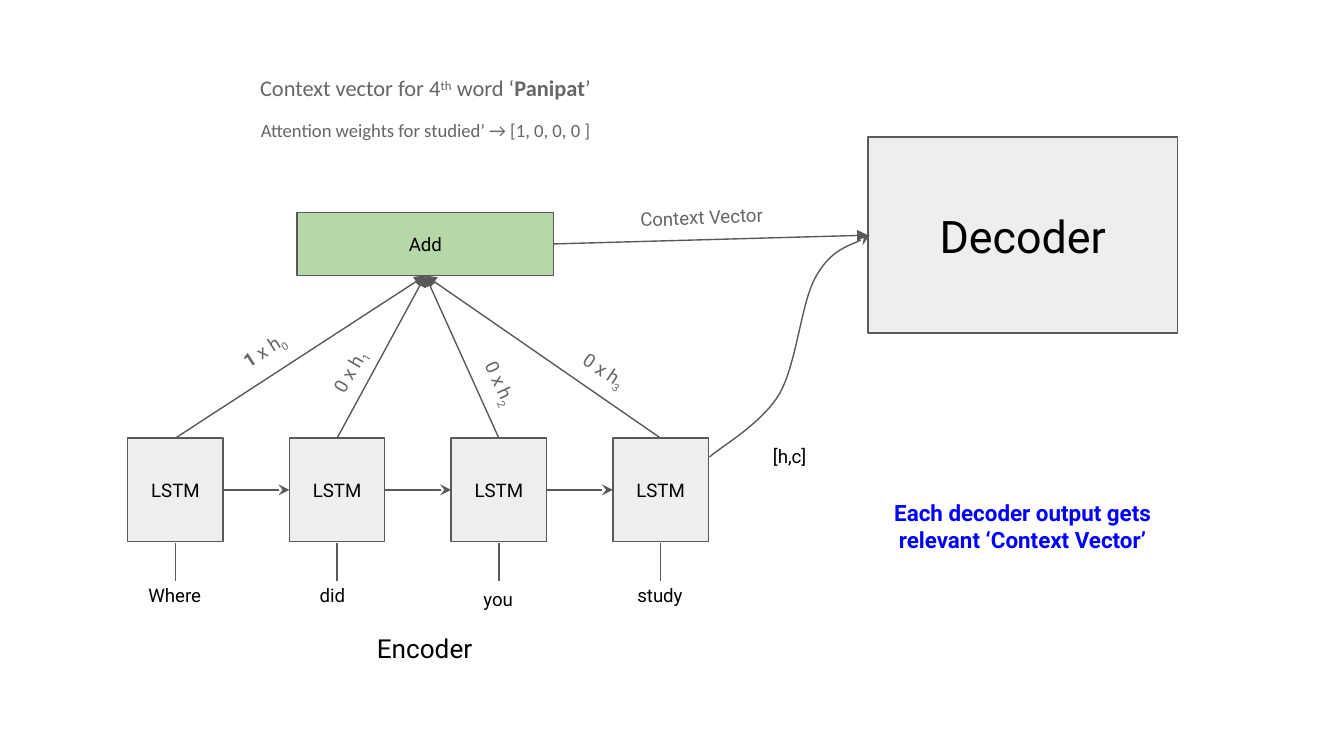
from collections import namedtuple

from lxml import etree
from pptx import Presentation
from pptx import util as u
from pptx.dml.color import RGBColor
from pptx.enum import shapes, text
from pptx.oxml import ns

COLS, ROWS = 100, 56.25
WIDE, HIGH = u.Inches(10), u.Inches(5.625)
INK, GREY, LINE = "000000", "666666", "595959"
PALE, GREEN, BLUE = "EEEEEE", "B6D7A8", "0000FF"
WORDS = ["Where", "did", "you", "study"]

Run = namedtuple("Run", "text bold base", defaults=(False, 0))


class Box(namedtuple("Box", "x y w h")):
    """A rectangle counted in columns and rows of the slide grid."""

    def inner(self, x, y, w, h):
        """Return a box offset from this one's top left corner."""
        return Box(self.x + x, self.y + y, w, h)

    def emu(self):
        """Return left, top, width and height as lengths."""
        return (*point(self.x, self.y), *point(self.w, self.h))


def point(x, y):
    """Turn a grid position into lengths."""
    return int(x * WIDE / COLS), int(y * HIGH / ROWS)


def color(code):
    """Turn a hex string into a colour."""
    return RGBColor.from_string(code)


def write(shape, runs, size, ink=INK, font="Roboto"):
    """Fill a shape with one centred paragraph."""
    frame = shape.text_frame
    frame.auto_size = text.MSO_AUTO_SIZE.NONE
    frame.word_wrap = True
    frame.vertical_anchor = text.MSO_ANCHOR.MIDDLE
    frame.margin_left = frame.margin_right = u.Inches(0.1)
    frame.margin_top = frame.margin_bottom = u.Inches(0.1)
    para = frame.paragraphs[0]
    para.alignment = text.PP_ALIGN.CENTER
    for item in runs:
        run = para.add_run()
        run.text = item.text
        run.font.name, run.font.size = font, u.Pt(size)
        run.font.bold = item.bold
        run.font.color.rgb = color(ink)
        if item.base:
            run._r.get_or_add_rPr().set("baseline", str(item.base * 1000))


def label(slide, box, runs, size=10, ink=INK, font="Roboto", turn=0):
    """Add a text box, turned by some degrees."""
    shape = slide.shapes.add_textbox(*box.emu())
    shape.rotation = turn
    write(shape, runs, size, ink, font)


def block(slide, box, name, size=10, fill=PALE):
    """Add an outlined rectangle with a name in it."""
    shape = slide.shapes.add_shape(shapes.MSO_SHAPE.RECTANGLE, *box.emu())
    shape.shadow.inherit = False
    shape.fill.solid()
    shape.fill.fore_color.rgb = color(fill)
    stroke(shape)
    write(shape, [Run(name)], size)
    return shape


def stroke(shape, head=None):
    """Style a line and give its end an arrowhead."""
    shape.line.color.rgb = color(LINE)
    shape.line.width = u.Pt(0.75)
    if head:
        tip = etree.SubElement(shape.line._get_or_add_ln(), ns.qn("a:tailEnd"))
        tip.set("type", head)


def wire(slide, start, end, head=None):
    """Add a straight connector between two grid points."""
    kind = shapes.MSO_CONNECTOR.STRAIGHT
    line = slide.shapes.add_connector(kind, *point(*start), *point(*end))
    stroke(line, head)
    etree.SubElement(line._element.spPr, ns.qn("a:effectLst"))
    return line


def link(slide, start, end, sites, head):
    """Glue an arrow to the given sites of two shapes."""
    line = wire(slide, (0, 0), (1, 1), head)
    line.begin_connect(start, sites[0])
    line.end_connect(end, sites[1])


def curve(slide, spots, head):
    """Draw cubic curves through a start and triples of points."""
    pen = slide.shapes.build_freeform(*point(*spots[0]))
    pen.add_line_segments([point(*spot) for spot in spots[1:]], close=False)
    shape = pen.convert_to_shape()
    shape.shadow.inherit = False
    shape.fill.background()
    stroke(shape, head)
    route = shape._element.spPr.find(".//" + ns.qn("a:path"))
    steps = route.findall(ns.qn("a:lnTo"))
    for i in range(0, len(steps), 3):
        bend = etree.SubElement(route, ns.qn("a:cubicBezTo"))
        for step in steps[i:i + 3]:
            bend.append(step[0])
            route.remove(step)


def heading(slide, box):
    """Place the title and the line of weights below it."""
    title = slide.shapes.title
    title.left, title.top, title.width, title.height = box.inner(0, 0, box.w, 4.7).emu()
    runs = [Run("Context vector for 4"), Run("th", base=30), Run(" word ‘"),
            Run("Panipat", True), Run("’")]
    write(title, runs, 12, GREY, "Calibri")
    note = [Run("Attention weights for studied’ → [1, 0, 0, 0 ]")]
    label(slide, box.inner(0, 3.1, box.w, 4.7), note, 10, GREY, "Calibri")


def encoder(slide, box):
    """Place the row of linked cells with their words; return the cells."""
    side, tall = 7.1, 7.7
    pitch = (box.w - side) / (len(WORDS) - 1)
    cells = []
    for i, word in enumerate(WORDS):
        left = i * pitch
        cells.append(block(slide, box.inner(left, 0, side, tall), "LSTM"))
        mid = box.x + left + side / 2
        wire(slide, (mid, box.y + 10.6), (mid, box.y + 7.8))
        drop = 10.9 if word == "you" else 10.6
        shift = -0.3 if word == "did" else 0
        label(slide, box.inner(left + 0.4 + shift, drop, 6.2, 2.1), [Run(word)])
    for one, two in zip(cells, cells[1:]):
        link(slide, one, two, (3, 1), "stealth")
    label(slide, box.inner(13.1, 13.7, 18, 3.9), [Run("Encoder")], 14)
    return cells


def adder(slide, box, cells):
    """Place the sum with its weighted inputs; return the sum."""
    total = block(slide, box, "Add", fill=GREEN)
    tags = [("1", -9.2, 8.7, 13.6, 327), ("0", -2, 10.2, 12, 300.4),
            ("0", 9.7, 11.1, 10.7, 65.3), ("0", 16, 10.2, 13.6, 34.2)]
    for i, (cell, (weight, x, y, w, turn)) in enumerate(zip(cells, tags)):
        link(slide, cell, total, (0, 2), "triangle")
        runs = [Run(weight, weight == "1"), Run(" x h"), Run(str(i), base=-25)]
        label(slide, box.inner(x, y, w, 3.3), runs, ink=GREY, turn=turn)
    return total


def decoder(slide, box, total):
    """Place the decoder, its two inputs and the remark below."""
    goal = block(slide, box, "Decoder", 24)
    link(slide, total, goal, (3, 1), "triangle")
    label(slide, box.inner(-19.2, 4.3, 13.6, 3.3), [Run("Context Vector")],
          ink=GREY, turn=357.6)
    bends = [(-11.8, 23.8), (-10.9, 23), (-7.9, 21.3), (-6.6, 19.1), (-5.3, 16.8),
             (-5, 12.3), (-3.9, 10.4), (-2.8, 8.4), (-0.6, 7.8), (0.1, 7.3)]
    curve(slide, [(box.x + x, box.y + y) for x, y in bends], "stealth")
    label(slide, box.inner(-9.4, 22.3, 7.1, 2.8), [Run("[h,c]")])
    note = [Run("Each decoder output gets relevant ‘Context Vector’", True)]
    label(slide, box.inner(0, 25.1, box.w, 7.7), note, 12, BLUE)


def main():
    """Build the slide and save it."""
    deck = Presentation()
    deck.slide_width, deck.slide_height = WIDE, HIGH
    slide = deck.slides.add_slide(deck.slide_layouts[5])
    heading(slide, Box(12.7, 4.2, 37.9, 7.8))
    cells = encoder(slide, Box(9.5, 32.6, 43.2, 17.6))
    total = adder(slide, Box(22.1, 15.8, 19.1, 4.7), cells)
    decoder(slide, Box(64.6, 10.2, 23, 14.6), total)
    deck.save("out.pptx")


if __name__ == "__main__":
    main()
